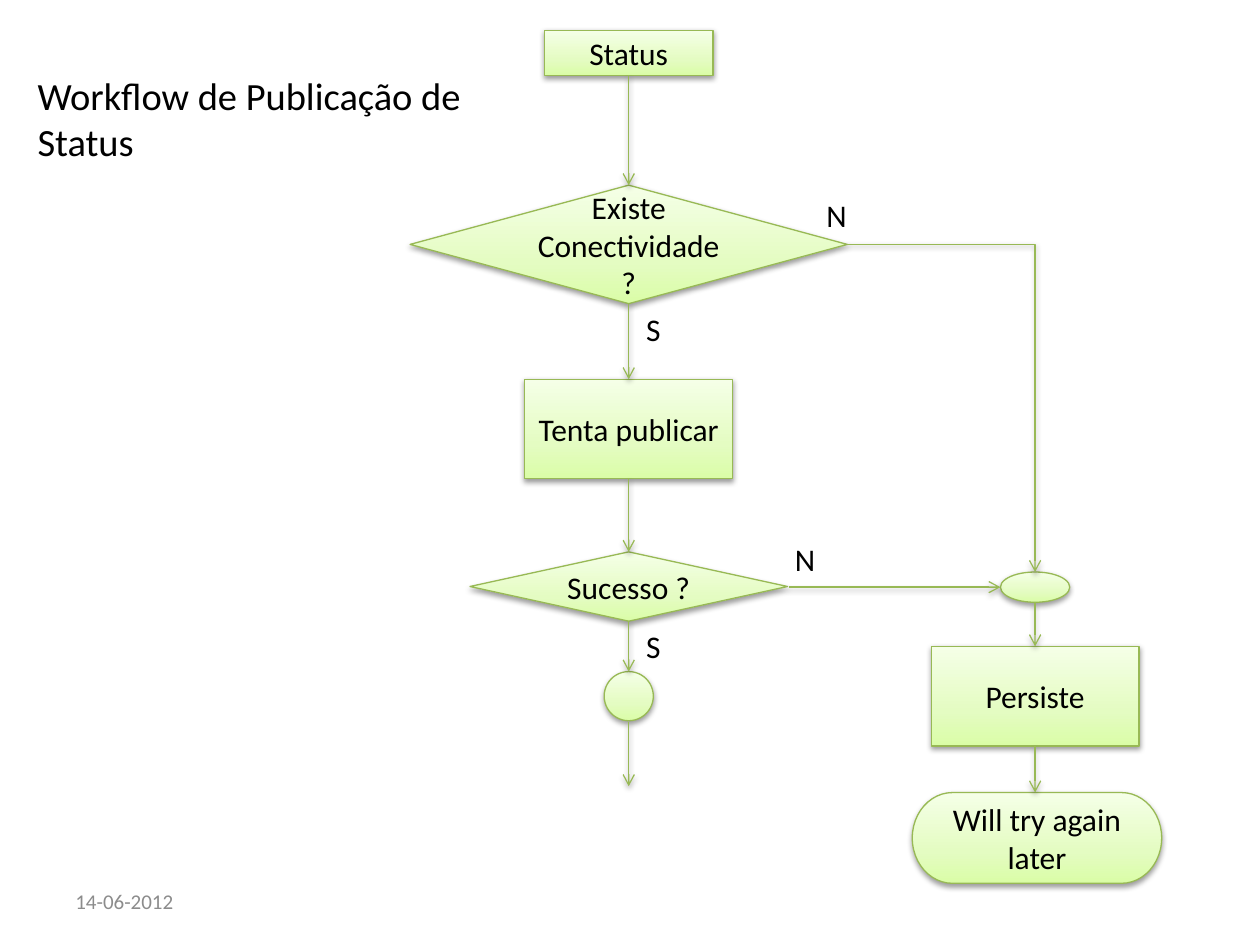
from copy import deepcopy

from lxml import etree
from pptx import Presentation
from pptx.dml.color import RGBColor
from pptx.enum.shapes import MSO_CONNECTOR, MSO_SHAPE
from pptx.enum.text import MSO_ANCHOR, PP_ALIGN
from pptx.oxml.ns import qn
from pptx.util import Inches, Pt

PROCESS = MSO_SHAPE.FLOWCHART_PROCESS
DECISION = MSO_SHAPE.FLOWCHART_DECISION
JUNCTION = MSO_SHAPE.FLOWCHART_CONNECTOR
TERMINATOR = MSO_SHAPE.FLOWCHART_TERMINATOR
STRAIGHT = MSO_CONNECTOR.STRAIGHT
ELBOW = MSO_CONNECTOR.ELBOW
MIDDLE = MSO_ANCHOR.MIDDLE
TOP = MSO_ANCHOR.TOP
CENTER = PP_ALIGN.CENTER
LEFT = PP_ALIGN.LEFT

COLORS = {
    "text": "000000",
    "date": "8C8C8C",
    "line": "98B955",
    "shadow": "000000",
    "bottom": "DAFDA7",
    "middle": "E4FCC2",
    "top": "F5FFE7",
}
GRADIENT = [(0, "bottom"), (0.35, "middle"), (1, "top")]

presentation = Presentation()
presentation.slide_width = Inches(10)
presentation.slide_height = Inches(7.5)
slide = presentation.slides.add_slide(presentation.slide_layouts[6])

# Grid of 100 columns by 75 rows
CELL = presentation.slide_width / 100
MAIN_AXIS = 49.9
SIDE_AXIS = 82.15


def write(shape, text, size, color, alignment, anchor):
    frame = shape.text_frame
    frame.word_wrap = True
    frame.vertical_anchor = anchor
    paragraph = frame.paragraphs[0]
    paragraph.text = text
    paragraph.alignment = alignment
    paragraph.font.name = "Calibri"
    paragraph.font.size = Pt(size)
    paragraph.font.color.rgb = RGBColor.from_string(COLORS[color])


def add_shadow(effects):
    shadow = etree.SubElement(effects, qn("a:outerShdw"), blurRad="40000",
                              dist="20000", dir="5400000", rotWithShape="0")
    color = etree.SubElement(shadow, qn("a:srgbClr"), val=COLORS["shadow"])
    etree.SubElement(color, qn("a:alpha"), val="38000")


# Flowchart nodes: kind, text, centre column, top row, columns, rows
nodes = [
    (PROCESS, "Status", MAIN_AXIS, 2.4, 13.4, 3.6),
    (DECISION, "Existe Conectividade ?", MAIN_AXIS, 14.7, 34.7, 9.4),
    (PROCESS, "Tenta publicar", MAIN_AXIS, 30.1, 16.5, 7.9),
    (DECISION, "Sucesso ?", MAIN_AXIS, 43.8, 25.2, 5.5),
    (JUNCTION, "", MAIN_AXIS, 53.3, 3.9, 3.9),
    (JUNCTION, "", SIDE_AXIS, 45.4, 5.5, 2.4),
    (PROCESS, "Persiste", SIDE_AXIS, 51.3, 16.5, 7.9),
    (TERMINATOR, "Will try again later", SIDE_AXIS + 0.15, 62.9, 19.8, 7.2),
]
for kind, text, center, top, columns, rows in nodes:
    left = center - columns / 2
    node = slide.shapes.add_shape(
        kind, *(round(v * CELL) for v in (left, top, columns, rows)))
    node.fill.gradient()
    node.fill.gradient_angle = 90
    stop_list = node.fill.gradient_stops[0]._gs.getparent()
    stop_list.insert(1, deepcopy(stop_list[0]))
    for stop, (position, color) in zip(node.fill.gradient_stops, GRADIENT):
        stop.position = position
        stop.color.rgb = RGBColor.from_string(COLORS[color])
    node.line.color.rgb = RGBColor.from_string(COLORS["line"])
    node.line.width = Pt(0.75)
    node.shadow.inherit = False
    add_shadow(node._element.spPr.find(qn("a:effectLst")))
    if text:
        write(node, text, 18, "text", CENTER, MIDDLE)

# Arrows: kind, start column and row, end column and row
arrows = [
    (STRAIGHT, MAIN_AXIS, 6, MAIN_AXIS, 14.7),
    (STRAIGHT, MAIN_AXIS, 24.1, MAIN_AXIS, 30.1),
    (STRAIGHT, MAIN_AXIS, 38, MAIN_AXIS, 43.8),
    (STRAIGHT, MAIN_AXIS, 49.3, MAIN_AXIS, 53.3),
    (STRAIGHT, MAIN_AXIS, 57.3, MAIN_AXIS, 62.4),
    (ELBOW, 67.2, 19.4, SIDE_AXIS, 45.4),
    (STRAIGHT, 62.6, 46.6, 79.4, 46.6),
    (STRAIGHT, SIDE_AXIS, 47.8, SIDE_AXIS, 51.3),
    (STRAIGHT, SIDE_AXIS, 59.2, SIDE_AXIS, 62.9),
]
for kind, *ends in arrows:
    arrow = slide.shapes.add_connector(kind, *(round(v * CELL) for v in ends))
    arrow.line.color.rgb = RGBColor.from_string(COLORS["line"])
    arrow.line.width = Pt(0.75)
    properties = arrow._element.spPr
    etree.SubElement(properties.find(qn("a:ln")), qn("a:tailEnd"), type="arrow")
    add_shadow(etree.SubElement(properties, qn("a:effectLst")))
    if kind == ELBOW:  # a single bend
        properties.find(qn("a:prstGeom")).set("prst", "bentConnector2")

# Title, branch labels and date: text, left, top, columns, rows, size, color, anchor
captions = [
    ("Workflow de Publicação de Status", 2, 5.2, 39, 8.4, 22, "text", TOP),
    ("N", 64.6, 15.1, 3.9, 4, 18, "text", TOP),
    ("N", 62.1, 42.4, 3.9, 4, 18, "text", TOP),
    ("S", 50.3, 24.1, 3.9, 4, 18, "text", TOP),
    ("S", 50.3, 49.3, 3.9, 4, 18, "text", TOP),
    ("14-06-2012", 5, 69.5, 23.3, 4, 12, "date", MIDDLE),
]
for text, left, top, columns, rows, size, color, anchor in captions:
    caption = slide.shapes.add_textbox(
        *(round(v * CELL) for v in (left, top, columns, rows)))
    write(caption, text, size, color, LEFT, anchor)

presentation.save("out.pptx")
